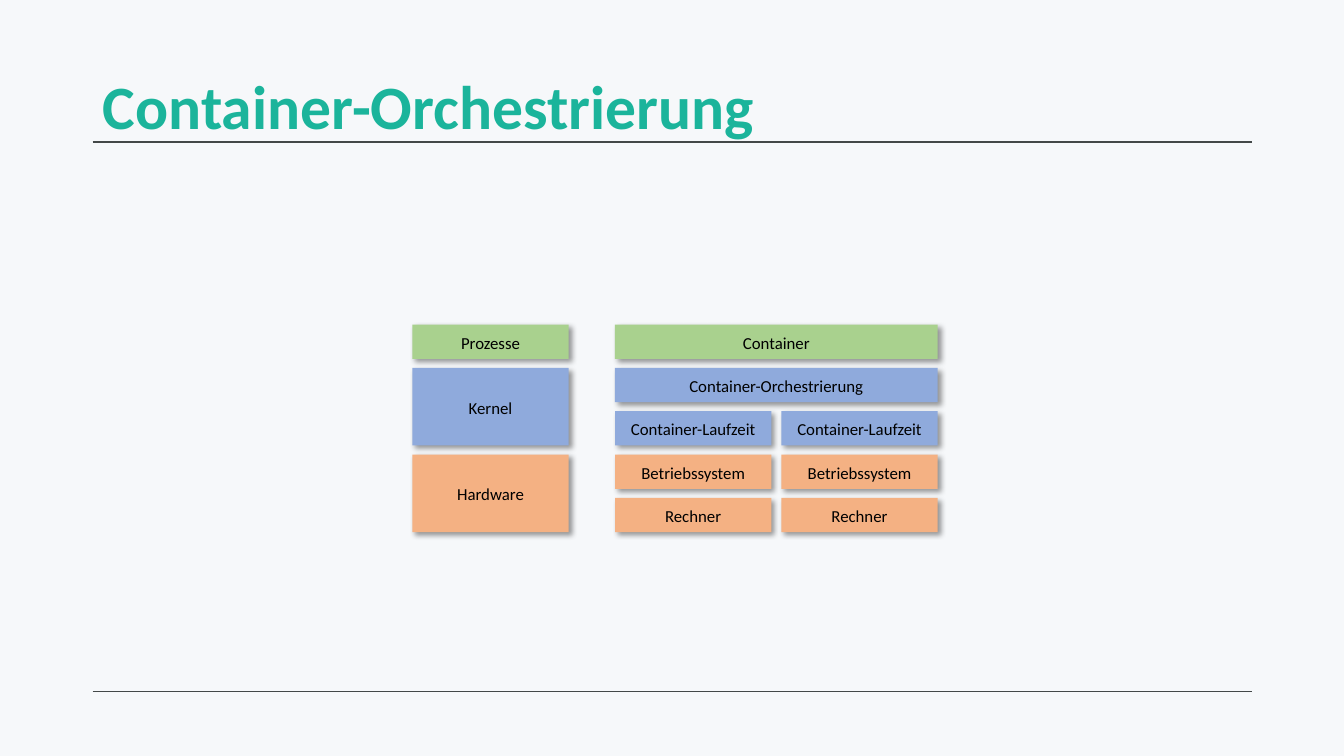
from dataclasses import dataclass

from lxml import etree
from pptx import Presentation
from pptx import util as u
from pptx.dml.color import RGBColor
from pptx.enum import shapes, text
from pptx.oxml.ns import qn


@dataclass(frozen=True)
class Theme:
    font: str = "Calibri"
    title_size: int = 44
    block_size: int = 12
    background: str = "F6F8FA"
    title: str = "1BB49B"
    rule: str = "434848"
    ink: str = "000000"
    workload: str = "A9D18E"
    platform: str = "8FAADC"
    machine: str = "F4B183"


THEME = Theme()
COL_WIDTH, COL_GAP = 1.55, 0.1
ROW_HEIGHT, ROW_GAP = 0.34, 0.09

# Each block: label, colour, column, row, columns spanned, rows spanned
CLASSIC_STACK = [
    ("Prozesse", THEME.workload, 0, 0, 1, 1),
    ("Kernel", THEME.platform, 0, 1, 1, 2),
    ("Hardware", THEME.machine, 0, 3, 1, 2),
]
NODE_LAYERS = [
    ("Container-Laufzeit", THEME.platform),
    ("Betriebssystem", THEME.machine),
    ("Rechner", THEME.machine),
]
CLUSTER_STACK = [
    ("Container", THEME.workload, 0, 0, 2, 1),
    ("Container-Orchestrierung", THEME.platform, 0, 1, 2, 1),
] + [
    (label, colour, node, row, 1, 1)
    for node in range(2)
    for row, (label, colour) in enumerate(NODE_LAYERS, start=2)
]


def rgb(colour):
    return RGBColor.from_string(colour)


def write(frame, words, size, colour, align, spacing, bold=False):
    frame.word_wrap = True
    frame.auto_size = text.MSO_AUTO_SIZE.NONE
    frame.vertical_anchor = text.MSO_ANCHOR.MIDDLE
    paragraph = frame.paragraphs[0]
    paragraph.alignment = align
    paragraph.line_spacing = spacing
    run = paragraph.add_run()
    run.text = words
    run.font.name = THEME.font
    run.font.size = u.Pt(size)
    run.font.bold = bold
    run.font.color.rgb = rgb(colour)


def drop_shadow(block):
    block.shadow.inherit = False
    effects = block.element.spPr.find(qn("a:effectLst"))
    shadow = etree.SubElement(
        effects, qn("a:outerShdw"), blurRad=str(u.Pt(4)), dist=str(u.Pt(3)),
        dir=str(45 * 60000), algn="tl", rotWithShape="0")
    tint = etree.SubElement(shadow, qn("a:srgbClr"), val=THEME.ink)
    etree.SubElement(tint, qn("a:alpha"), val="40000")


def add_rule(slide, left, top, width):
    rule = slide.shapes.add_connector(
        shapes.MSO_CONNECTOR.STRAIGHT, u.Inches(left), u.Inches(top),
        u.Inches(left + width), u.Inches(top))
    rule.line.color.rgb = rgb(THEME.rule)
    rule.line.width = u.Pt(1)
    etree.SubElement(rule.element.spPr, qn("a:effectLst"))


def add_heading(slide, words, left, top, width, height):
    heading = slide.shapes.title
    heading.left, heading.top = u.Inches(left), u.Inches(top)
    heading.width, heading.height = u.Inches(width), u.Inches(height)
    write(heading.text_frame, words, THEME.title_size, THEME.title,
          text.PP_ALIGN.LEFT, 0.9, bold=True)


def span(count, size, gap):
    return count * size + (count - 1) * gap


def add_stack(slide, blocks, left, top):
    for label, colour, col, row, cols, rows in blocks:
        block = slide.shapes.add_shape(
            shapes.MSO_SHAPE.RECTANGLE,
            u.Inches(left + col * (COL_WIDTH + COL_GAP)),
            u.Inches(top + row * (ROW_HEIGHT + ROW_GAP)),
            u.Inches(span(cols, COL_WIDTH, COL_GAP)),
            u.Inches(span(rows, ROW_HEIGHT, ROW_GAP)))
        block.fill.solid()
        block.fill.fore_color.rgb = rgb(colour)
        block.line.fill.background()
        drop_shadow(block)
        write(block.text_frame, label, THEME.block_size, THEME.ink,
              text.PP_ALIGN.CENTER, 1.07)


def main():
    deck = Presentation()
    deck.slide_width, deck.slide_height = u.Inches(13.33), u.Inches(7.5)
    slide = deck.slides.add_slide(deck.slide_layouts[5])
    slide.background.fill.solid()
    slide.background.fill.fore_color.rgb = rgb(THEME.background)

    # Frame: rules above and below the content, and the heading
    margin, content_width = 0.92, 11.5
    for top in (1.41, 6.86):
        add_rule(slide, margin, top, content_width)
    add_heading(slide, "Container-Orchestrierung",
                margin, 0.33, content_width, 1.52)

    # Comparison: single machine on the left, cluster on the right
    stack_top = 3.22
    add_stack(slide, CLASSIC_STACK, 4.09, stack_top)
    add_stack(slide, CLUSTER_STACK, 6.1, stack_top)

    deck.save("out.pptx")


if __name__ == "__main__":
    main()
